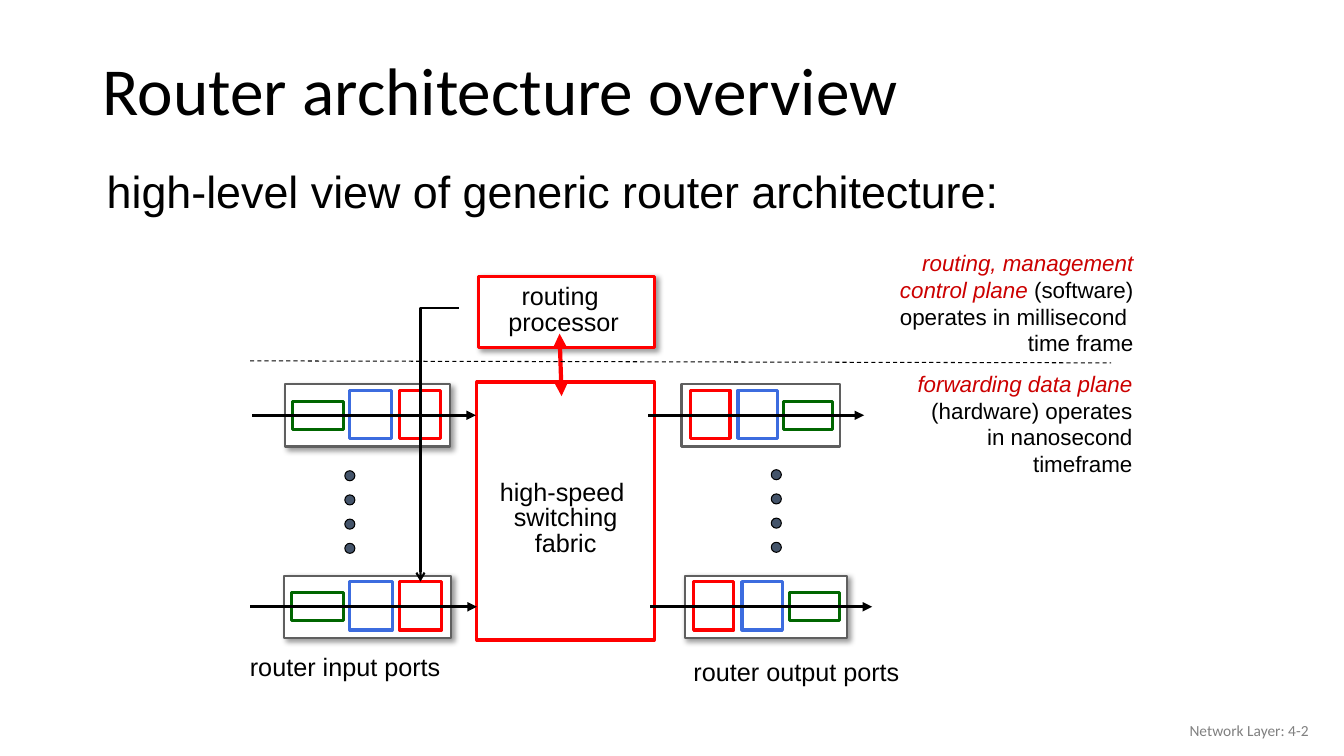
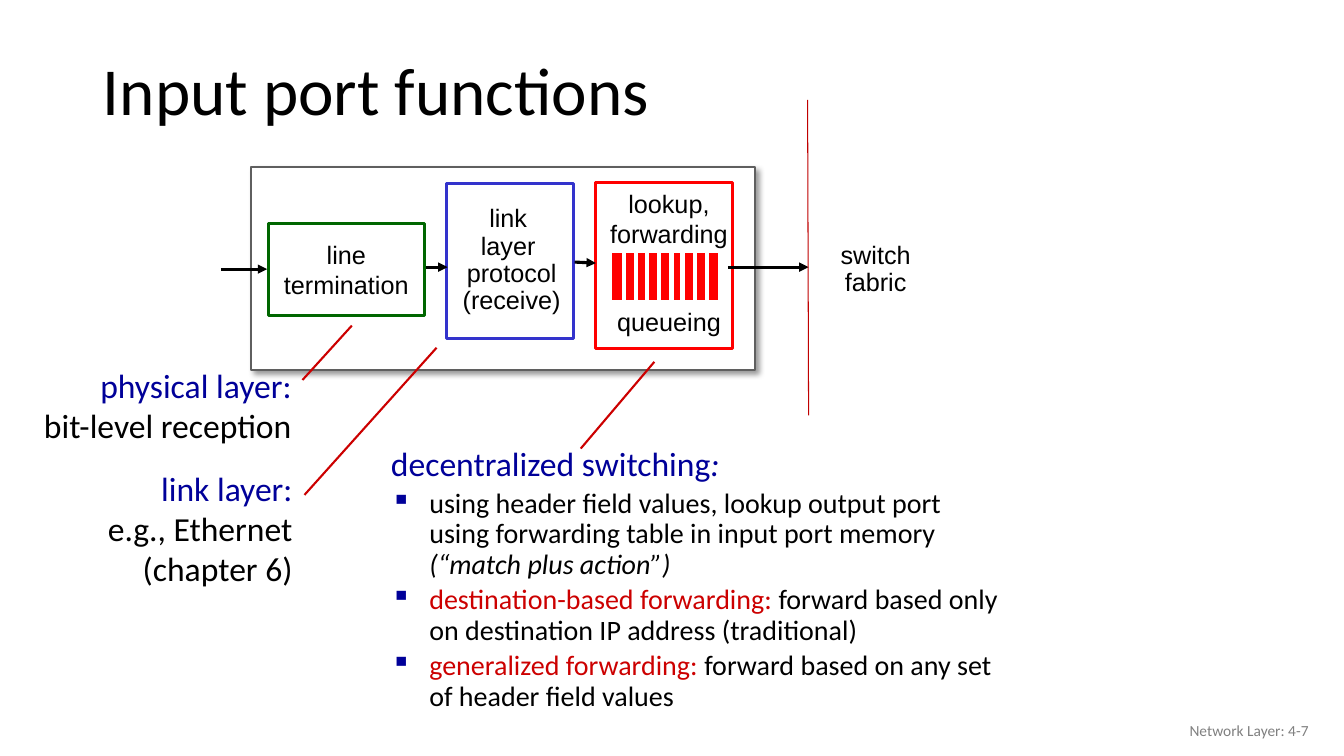
from dataclasses import dataclass, replace
from typing import NamedTuple, Sequence, Union

import lxml.etree
import pptx
import pptx.dml.color
import pptx.enum.dml
import pptx.enum.shapes
import pptx.enum.text
import pptx.oxml
import pptx.oxml.ns
import pptx.util

# Scale, colours and text styles
PX = 9144  # EMU in one px: 100 px to the inch
BLACK, WHITE, GREY = "000000", "FFFFFF", "808080"
RED, DARK_RED, DIVIDER_RED = "FF0000", "CC0000", "C00000"
GREEN, BLUE, NAVY, FRAME, DOT = "006600", "3C6CDF", "000099", "5F5F5F", "44546A"
PROTOCOL_BLUE = "3333CC"
ALIGN = pptx.enum.text.PP_ALIGN
ANCHOR = pptx.enum.text.MSO_ANCHOR
PRESET = pptx.enum.shapes.MSO_SHAPE
qn = pptx.oxml.ns.qn


class Run(NamedTuple):
    text: str
    color: str = ""
    italic: bool = False


class Box(NamedTuple):
    left: int
    top: int
    width: int
    height: int


Line = Union[str, Sequence[Run]]


@dataclass(frozen=True)
class Style:
    size: int
    font: str = "Arial"
    color: str = BLACK
    align: ALIGN = ALIGN.LEFT
    spacing: float = 1.0


@dataclass(frozen=True)
class Port:
    frame: Box
    arrow_start: int
    arrow_end: int
    mirrored: bool = False
    shadow: bool = True


TITLE = Style(48, "Calibri", spacing=0.9)
FOOTER = Style(11, "Calibri", GREY, ALIGN.RIGHT)
LABEL = Style(18)
CENTERED = Style(18, align=ALIGN.CENTER)
TIGHT = replace(CENTERED, spacing=0.85)
SNUG = replace(CENTERED, spacing=0.9)
PLANE = Style(16, align=ALIGN.RIGHT)
LAYER = Style(24, "Calibri", align=ALIGN.RIGHT)
BULLET = Style(20, "Calibri", spacing=0.9)


def px(value: float) -> int:
    return round(value * PX)


def rgb(color: str):
    return pptx.dml.color.RGBColor.from_string(color)


# Drawing helpers
def write(frame, lines: Sequence[Line], style: Style, wrap: bool = False, anchor=ANCHOR.TOP) -> None:
    frame.word_wrap = wrap
    frame.auto_size = pptx.enum.text.MSO_AUTO_SIZE.NONE
    frame.vertical_anchor = anchor
    for index, line in enumerate(lines):
        paragraph = frame.paragraphs[0] if index == 0 else frame.add_paragraph()
        paragraph.alignment = style.align
        paragraph.line_spacing = style.spacing
        paragraph.font.name = style.font
        paragraph.font.size = pptx.util.Pt(style.size)
        paragraph.font.color.rgb = rgb(style.color)
        for part in [Run(line)] if isinstance(line, str) else line:
            run = paragraph.add_run()
            run.text = part.text
            if part.color:
                run.font.color.rgb = rgb(part.color)
            if part.italic:
                run.font.italic = True


def add_text(slide, box: Box, lines: Sequence[Line], style: Style, wrap: bool = False, anchor=ANCHOR.TOP):
    shape = slide.shapes.add_textbox(*map(px, box))
    write(shape.text_frame, lines, style, wrap, anchor)
    return shape


def set_line(shape, color: str, width: float) -> None:
    shape.line.color.rgb = rgb(color)
    shape.line.width = pptx.util.Pt(width)


def add_shape(slide, box: Box, line: str, width: float = 2.25, fill: str = WHITE,
              preset=PRESET.RECTANGLE, shadow: bool = False):
    shape = slide.shapes.add_shape(preset, *map(px, box))
    shape.fill.solid()
    shape.fill.fore_color.rgb = rgb(fill)
    set_line(shape, line, width)
    shape.shadow.inherit = False
    if shadow:
        effects = shape._element.spPr.find(qn("a:effectLst"))
        outer = lxml.etree.SubElement(effects, qn("a:outerShdw"), blurRad="50800", dist="38100",
                                      dir="2700000", algn="tl", rotWithShape="0")
        color = lxml.etree.SubElement(outer, qn("a:srgbClr"), val=BLACK)
        lxml.etree.SubElement(color, qn("a:alpha"), val="40000")
    return shape


def add_arrowhead(shape, end: str, kind: str) -> None:
    lxml.etree.SubElement(shape.line._get_or_add_ln(), qn(f"a:{end}"), type=kind)


def add_line(slide, start: tuple[int, int], end: tuple[int, int], color: str = BLACK, width: float = 2.25,
             head: bool = False, tail: bool = False, dashed: bool = False) -> None:
    line = slide.shapes.add_connector(pptx.enum.shapes.MSO_CONNECTOR.STRAIGHT, *map(px, start + end))
    set_line(line, color, width)
    if dashed:
        line.line.dash_style = pptx.enum.dml.MSO_LINE.DASH
    if head:
        add_arrowhead(line, "headEnd", "triangle")
    if tail:
        add_arrowhead(line, "tailEnd", "triangle")
    lxml.etree.SubElement(line._element.spPr, qn("a:effectLst"))


def add_bullet(paragraph) -> None:
    properties = paragraph._p.get_or_add_pPr()
    color = pptx.oxml.parse_xml(
        '<a:buClr xmlns:a="http://schemas.openxmlformats.org/drawingml/2006/main">'
        f'<a:srgbClr val="{NAVY}"/></a:buClr>')
    character = lxml.etree.Element(qn("a:buChar"), char="▪")
    font = properties.find(qn("a:defRPr"))
    font.addprevious(color)
    font.addprevious(character)


def add_page(presentation, title: str, number: int):
    slide = presentation.slides.add_slide(presentation.slide_layouts[5])
    heading = slide.shapes.title
    heading.left, heading.top, heading.width, heading.height = map(px, Box(92, 44, 1150, 98))
    write(heading.text_frame, [title], TITLE, True, ANCHOR.MIDDLE)
    add_text(slide, Box(1008, 705, 300, 40), [f"Network Layer: 4-{number}"], FOOTER, True, ANCHOR.MIDDLE)
    return slide


# Router parts
def add_port(slide, port: Port) -> None:
    left, top, width, height = port.frame
    add_shape(slide, port.frame, FRAME, 1.5, shadow=port.shadow)
    stages = [(Box(7, 17, 51, 28), GREEN), (Box(64, 6, 41, 48), BLUE), (Box(113, 6, 41, 48), RED)]
    design_width = 163
    ratio = width / design_width
    for stage, color in stages:
        offset = design_width - stage.left - stage.width if port.mirrored else stage.left
        add_shape(slide, Box(left + round(offset * ratio), top + stage.top,
                             round(stage.width * ratio), stage.height), color)
    middle = top + height // 2
    add_line(slide, (port.arrow_start, middle), (port.arrow_end, middle), tail=True)


def add_dots(slide, left: int, top: int) -> None:
    for index in range(4):
        add_shape(slide, Box(left, top + 24 * index, 10, 10), BLACK, 0.75, DOT, PRESET.OVAL)


def build_overview(presentation) -> None:
    slide = add_page(presentation, "Router architecture overview", 2)
    add_text(slide, Box(96, 158, 1180, 64), ["high-level view of generic router architecture:"], Style(32), True)

    # Fabric and processor
    add_shape(slide, Box(473, 379, 176, 256), RED)
    add_text(slide, Box(485, 472, 152, 87), ["high-speed ", "switching", "fabric"], TIGHT)
    add_shape(slide, Box(475, 274, 174, 71), RED, shadow=True)
    add_text(slide, Box(494, 278, 130, 61), ["routing ", "processor"], TIGHT)
    add_line(slide, (555, 331), (557, 393), RED, 3, head=True, tail=True)

    # Ports
    for port in (
        Port(Box(283, 381, 163, 62), 250, 472),
        Port(Box(282, 571, 165, 62), 248, 473),
        Port(Box(676, 381, 157, 62), 643, 857, mirrored=True, shadow=False),
        Port(Box(679, 571, 161, 62), 645, 865, mirrored=True),
    ):
        add_port(slide, port)
    add_dots(slide, 342, 467)
    add_dots(slide, 765, 466)
    add_text(slide, Box(238, 641, 209, 40), ["router input ports"], LABEL)
    add_text(slide, Box(678, 646, 224, 40), ["router output ports"], LABEL)

    # Control and data planes
    add_line(slide, (248, 358), (1102, 360), width=0.75, dashed=True)
    add_text(slide, Box(894, 362, 239, 118), [
        [Run("forwarding data plane ", DARK_RED, True)],
        "(hardware) operates in nanosecond timeframe",
    ], PLANE, True)
    add_text(slide, Box(819, 242, 315, 118), [
        [Run("routing, management", DARK_RED, True)],
        [Run("control plane ", DARK_RED, True), Run("(software)")],
        "operates in millisecond ",
        "time frame",
    ], PLANE, True)

    # Path from the processor to the input port
    builder = slide.shapes.build_freeform(px(455), px(306))
    builder.add_line_segments([(px(417), px(306)), (px(417), px(577))], close=False)
    path = builder.convert_to_shape()
    path.fill.background()
    path.shadow.inherit = False
    set_line(path, BLACK, 1.5)
    add_arrowhead(path, "tailEnd", "arrow")


def build_input_port(presentation) -> None:
    slide = add_page(presentation, "Input port functions", 7)

    # Stages of the port
    add_shape(slide, Box(249, 166, 500, 201), FRAME, 1.5, shadow=True)
    termination = add_shape(slide, Box(266, 222, 155, 91), GREEN)
    write(termination.text_frame, ["line", "termination"], CENTERED, anchor=ANCHOR.MIDDLE)
    add_shape(slide, Box(443, 182, 126, 154), PROTOCOL_BLUE)
    add_text(slide, Box(450, 213, 115, 91), ["link ", "layer ", "protocol", "(receive)"], SNUG,
             anchor=ANCHOR.MIDDLE)
    add_shape(slide, Box(591, 181, 136, 165), RED)
    lookup = add_text(slide, Box(595, 182, 137, 160), ["lookup,", "forwarding", "queueing"], CENTERED)
    lookup.text_frame.paragraphs[2].space_before = pptx.util.Pt(41)

    # Queue
    add_shape(slide, Box(605, 249, 109, 51), WHITE, 3, RED)
    for index in range(8):
        x = 619 + round(11.7 * index)
        add_line(slide, (x, 250), (x, 299), WHITE, 3)

    # Flow into the switch fabric
    for start, end in (((219, 267), (265, 267)), ((423, 265), (444, 265)),
                       ((570, 260), (591, 261)), ((722, 265), (802, 265))):
        add_line(slide, start, end, tail=True)
    add_line(slide, (801, 99), (802, 412), DIVIDER_RED, 0.75)
    add_text(slide, Box(811, 222, 115, 91), ["switch", "fabric"], SNUG, anchor=ANCHOR.MIDDLE)

    # Layer notes and their leader lines
    add_text(slide, Box(28, 357, 271, 91), [[Run("physical layer:", NAVY)], "bit-level reception"], LAYER)
    add_text(slide, Box(95, 459, 205, 131),
             [[Run("link layer:", NAVY)], "e.g., Ethernet", "(chapter 6)"], LAYER)
    for start, end in (((300, 377), (349, 323)), ((576, 445), (649, 359)), ((302, 491), (433, 345))):
        add_line(slide, start, end, DARK_RED, 1.5)

    # Decentralized switching
    notes = add_text(slide, Box(378, 439, 630, 292), [
        [Run("decentralized switching", NAVY), Run(":", NAVY, True)],
        [Run("using header field values, lookup output port using forwarding table in input port memory "),
         Run("(“match plus action”)", italic=True)],
        [Run("destination-based forwarding: ", DARK_RED),
         Run("forward based only on destination IP address (traditional)")],
        [Run("generalized forwarding: ", DARK_RED), Run("forward based on any set of header field values")],
    ], BULLET, True)
    heading, *bullets = notes.text_frame.paragraphs
    heading.font.size = pptx.util.Pt(24)
    for paragraph in bullets:
        paragraph.space_before = pptx.util.Pt(4)
        properties = paragraph._p.get_or_add_pPr()
        properties.set("marL", str(px(38)))
        properties.set("indent", str(px(-38)))
        add_bullet(paragraph)


def main() -> None:
    presentation = pptx.Presentation()
    presentation.slide_width, presentation.slide_height = px(1333), px(750)
    build_overview(presentation)
    build_input_port(presentation)
    presentation.save("out.pptx")


if __name__ == "__main__":
    main()
